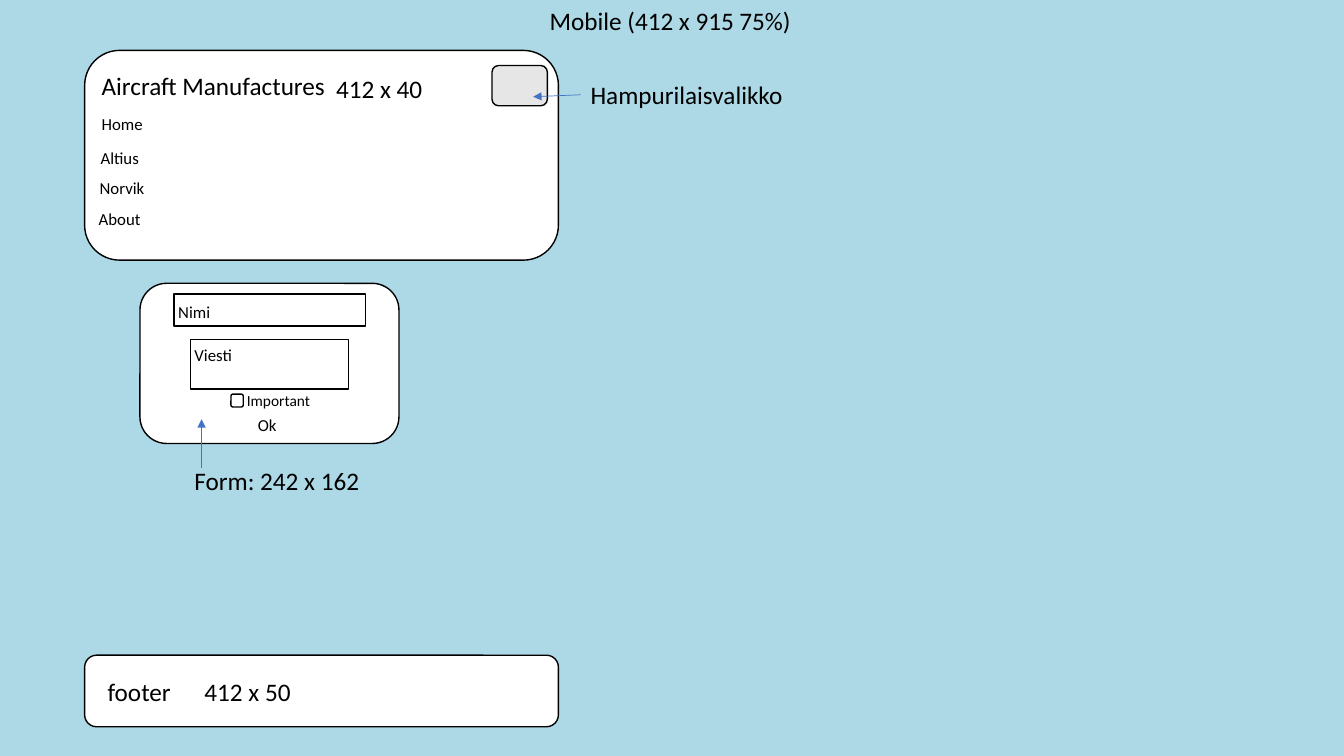
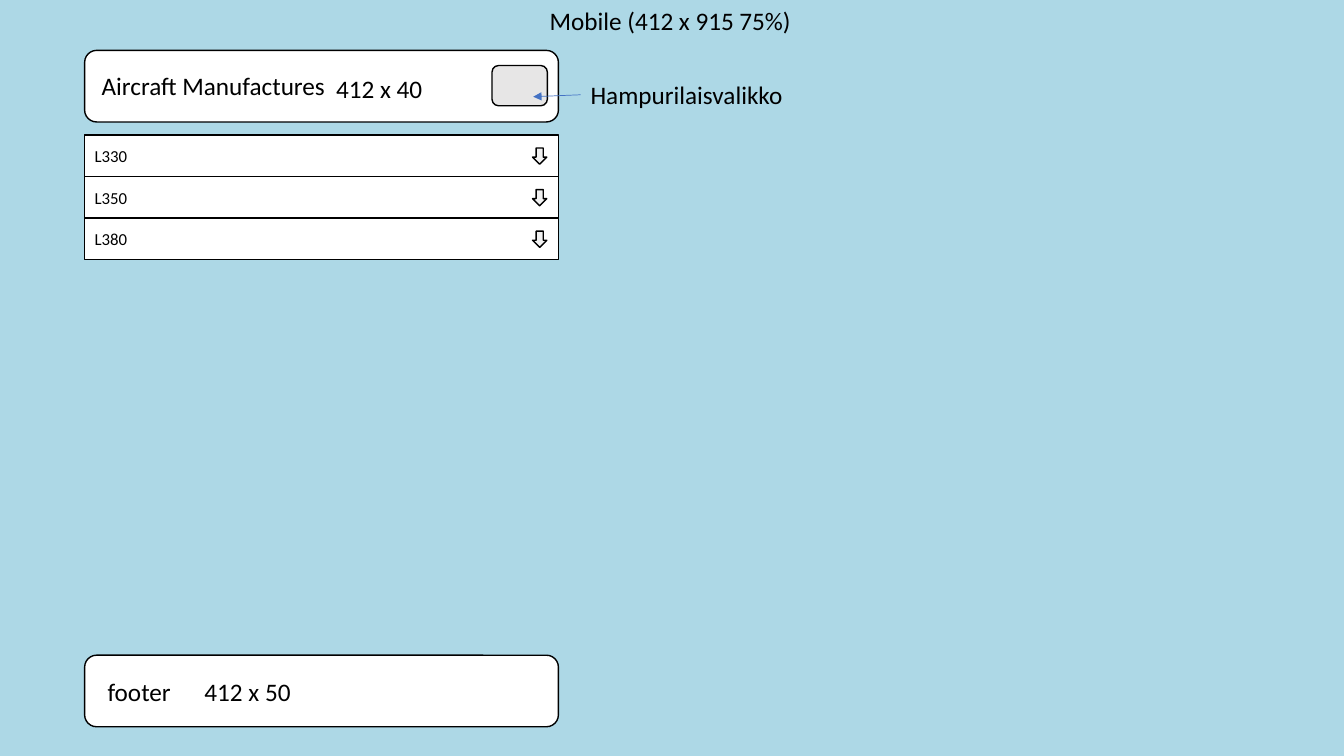
from lxml.etree import SubElement
from pptx import Presentation
from pptx.dml.color import RGBColor
from pptx.enum.shapes import MSO_CONNECTOR, MSO_SHAPE
from pptx.enum.text import MSO_ANCHOR, MSO_AUTO_SIZE, PP_ALIGN
from pptx.oxml.ns import qn
from pptx.util import Pt

COLORS = {
    "background": "ADD8E6",
    "panel": "FFFFFF",
    "button": "E7E6E6",
    "chevron": "F2F2F2",
    "ink": "000000",
    "pointer": "4472C4",
}
FONT = "Calibri"
LEFT, WIDTH = 60.5, 338.4  # the mobile screen column
BAR_HEIGHT = 51.1


def add_label(page, text, left, top, width, size=18, wrap=False):
    box = page.shapes.add_textbox(Pt(left), Pt(top), Pt(width), Pt(size * 1.2 + 7.2))
    frame = box.text_frame
    frame.word_wrap = wrap
    frame.auto_size = MSO_AUTO_SIZE.SHAPE_TO_FIT_TEXT
    para = frame.paragraphs[0]
    para.text = text
    para.font.name = FONT
    para.font.size = Pt(size)
    para.font.color.rgb = RGBColor.from_string(COLORS["ink"])
    return box


def add_panel(page, kind, left, top, width, height, fill=None):
    panel = page.shapes.add_shape(kind, Pt(left), Pt(top), Pt(width), Pt(height))
    panel.shadow.inherit = False
    if fill:
        panel.fill.solid()
        panel.fill.fore_color.rgb = RGBColor.from_string(COLORS[fill])
    else:
        panel.fill.background()
    panel.line.color.rgb = RGBColor.from_string(COLORS["ink"])
    panel.line.width = Pt(1)
    return panel


deck = Presentation()
deck.slide_width, deck.slide_height = Pt(960), Pt(540)
pages = []
pointers = []

# Shared frame: title, header, menu button and footer
for header_height in (149.8, BAR_HEIGHT):
    page = deck.slides.add_slide(deck.slide_layouts[6])
    page.background.fill.solid()
    page.background.fill.fore_color.rgb = RGBColor.from_string(COLORS["background"])
    pages.append(page)

    add_label(page, "Mobile (412 x 915 75%)", 385.5, 0, 188.6)
    add_panel(page, MSO_SHAPE.ROUNDED_RECTANGLE, LEFT, 36, WIDTH, header_height, "panel")
    add_label(page, "Aircraft Manufactures", 65.5, 46.8, 176.4)
    add_label(page, "412 x 40", 233, 48.6, 77)
    add_panel(page, MSO_SHAPE.ROUNDED_RECTANGLE, 351.4, 46.8, 39.6, 28.8, "button")
    add_panel(page, MSO_SHAPE.ROUNDED_RECTANGLE, LEFT, 468, WIDTH, BAR_HEIGHT, "panel")
    add_label(page, "footer", 69.8, 479.8, 60.5)
    add_label(page, "412 x 50", 139, 479.8, 77)

    menu_label = add_label(page, "Hampurilaisvalikko", 414.7, 53.3, 152.6)
    pointer = page.shapes.add_connector(
        MSO_CONNECTOR.STRAIGHT, Pt(414.7), Pt(67.7), Pt(380.9), Pt(69.1))
    pointer.begin_connect(menu_label, 1)
    pointers.append(pointer)

form_page, list_page = pages

# Open navigation menu
for text, left, top, width in (
    ("Home", 65.5, 77.8, 44.6),
    ("Altius", 64.8, 102.2, 46.1),
    ("Norvik", 64.1, 123.1, 48.2),
    ("About", 63.4, 145.6, 44.6),
):
    add_label(form_page, text, left, top, width, 12)

# Contact form
add_panel(form_page, MSO_SHAPE.ROUNDED_RECTANGLE, 100, 202.4, 185, 114.4, "panel")
add_panel(form_page, MSO_SHAPE.RECTANGLE, 124.4, 210, 136.6, 23)
add_panel(form_page, MSO_SHAPE.RECTANGLE, 136, 242.6, 113, 35.3)
add_panel(form_page, MSO_SHAPE.ROUNDED_RECTANGLE, 165, 281.5, 8.8, 9.2)
add_label(form_page, "Nimi", 120.2, 211.7, 37.4, 12)
add_label(form_page, "Viesti", 131.8, 242.6, 41.8, 12)
add_label(form_page, "Important", 169.2, 275.8, 59.8, 11)
add_label(form_page, "Ok", 177.1, 293, 31, 12, wrap=True)
add_label(form_page, "Form: 242 x 162", 131.8, 328.5, 133.9)
pointers.append(form_page.shapes.add_connector(
    MSO_CONNECTOR.STRAIGHT, Pt(144), Pt(334), Pt(144), Pt(299.5)))

# Collapsed list of models
ROW_TOP, ROW_HEIGHT = 96.5, 29.7
for index, model in enumerate(("L330", "L350", "L380")):
    top = ROW_TOP + index * ROW_HEIGHT
    row = add_panel(list_page, MSO_SHAPE.RECTANGLE, LEFT, top, WIDTH, ROW_HEIGHT, "panel")
    row.text_frame.vertical_anchor = MSO_ANCHOR.MIDDLE
    para = row.text_frame.paragraphs[0]
    para.text = model
    para.alignment = PP_ALIGN.LEFT
    para.font.name = FONT
    para.font.size = Pt(12)
    para.font.color.rgb = RGBColor.from_string(COLORS["ink"])
    add_panel(list_page, MSO_SHAPE.DOWN_ARROW, 380.4, top + 9.2, 10.2, 11.6, "chevron")

# Pointer style: thin line with an arrowhead
for pointer in pointers:
    pointer.line.color.rgb = RGBColor.from_string(COLORS["pointer"])
    pointer.line.width = Pt(0.5)
    SubElement(pointer.line._get_or_add_ln(), qn("a:tailEnd"), type="triangle")
    SubElement(pointer._element.spPr, qn("a:effectLst"))

deck.save("out.pptx")
